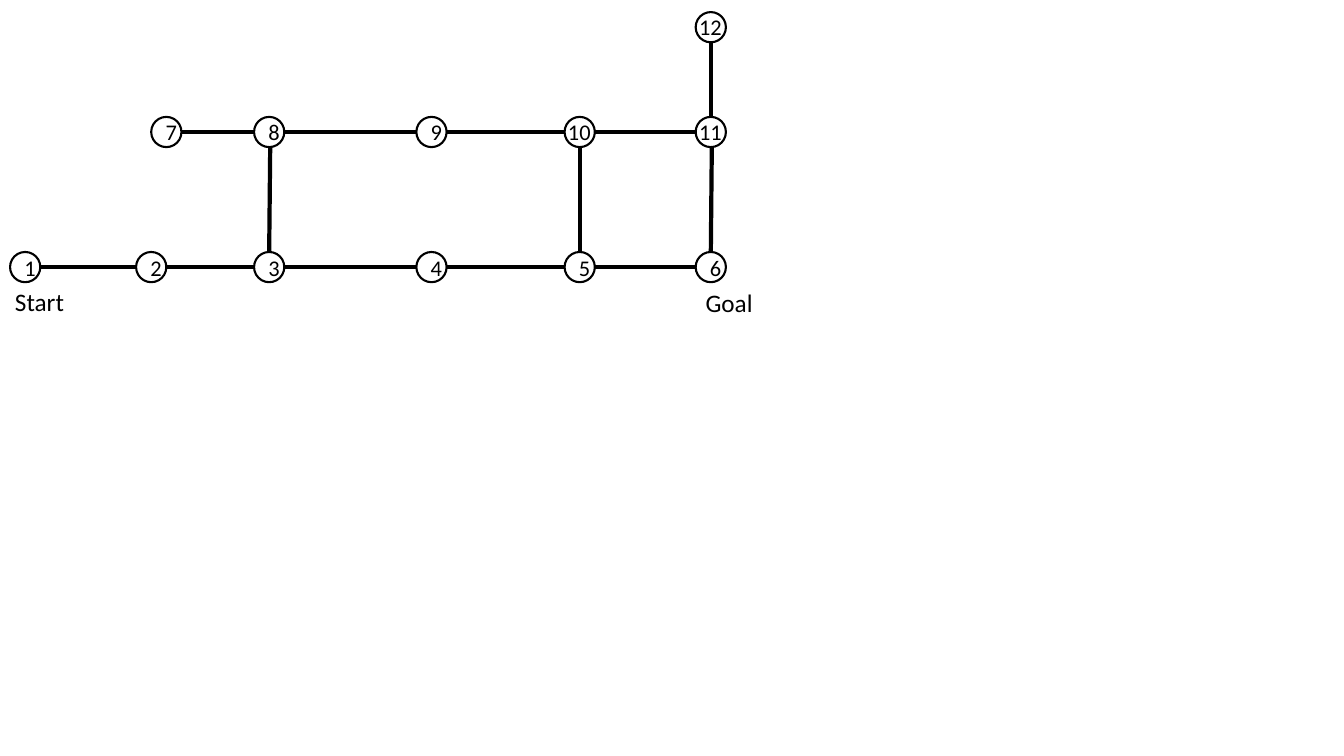
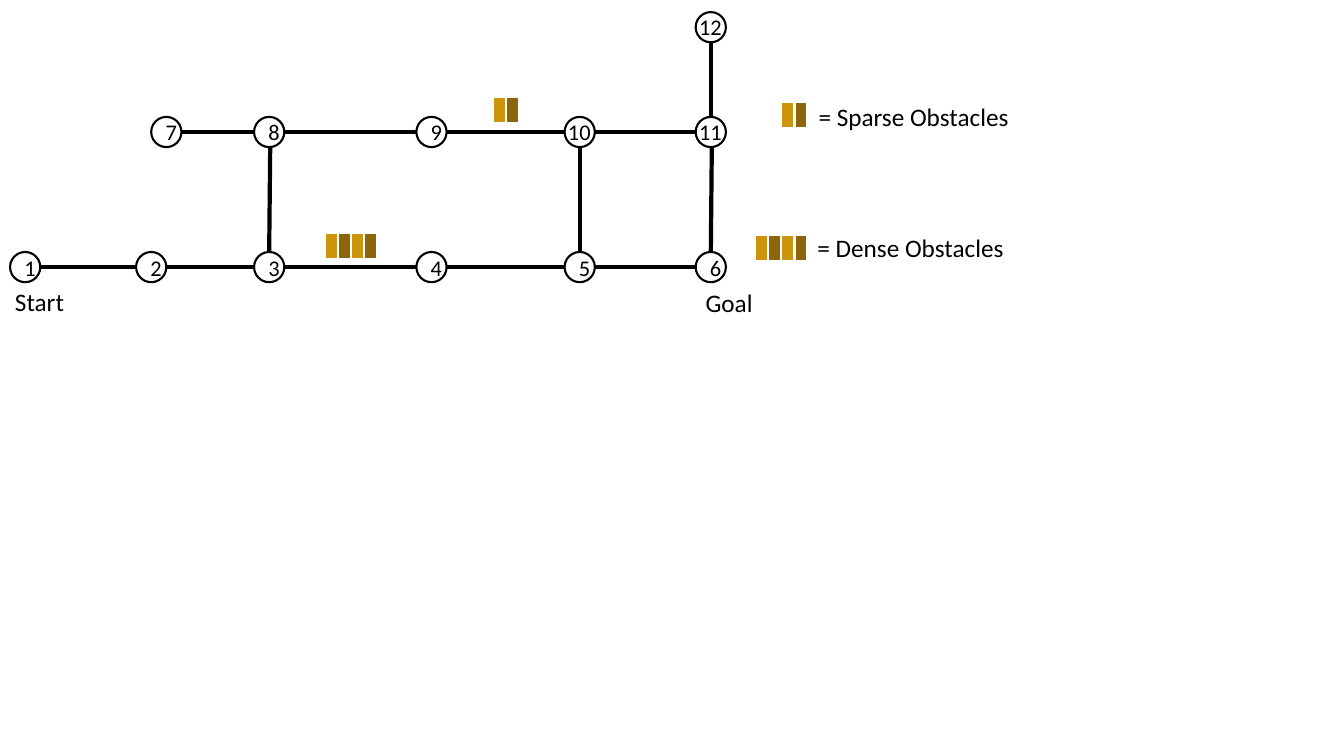
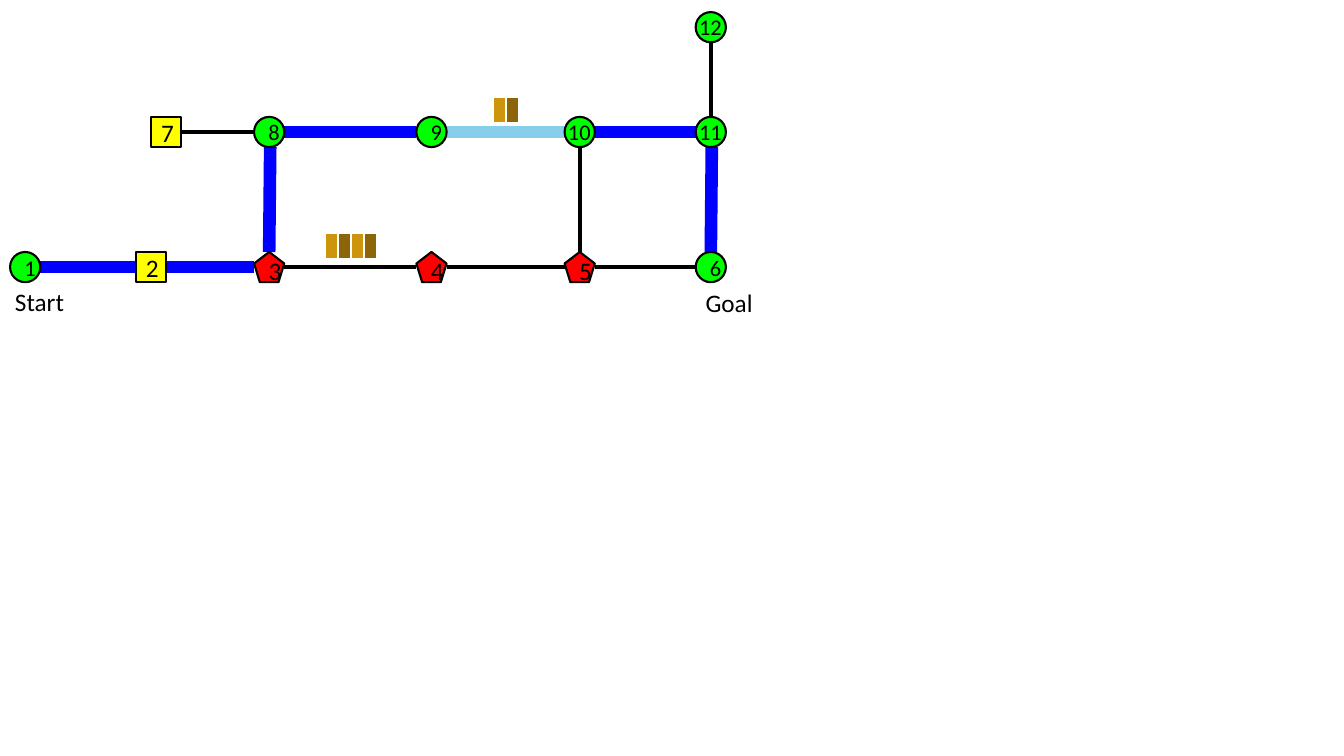
from dataclasses import dataclass, field

from lxml.etree import SubElement
from pptx import Presentation
from pptx.dml.color import RGBColor
from pptx.enum.shapes import MSO_CONNECTOR, MSO_SHAPE
from pptx.enum.text import MSO_ANCHOR, MSO_AUTO_SIZE, PP_ALIGN
from pptx.oxml.ns import qn
from pptx.shapes.autoshape import Shape
from pptx.shapes.shapetree import GroupShapes
from pptx.slide import Slide
from pptx.text.text import TextFrame
from pptx.util import Inches, Pt


@dataclass(frozen=True)
class Theme:
    font: str = "Calibri"
    ink: str = "000000"
    paper: str = "FFFFFF"
    clear: str = "00FF00"
    caution: str = "FFFF00"
    blocked: str = "FF0000"
    route: str = "0000FF"
    slow_route: str = "87CEEB"
    bars: tuple[str, str] = ("CD950C", "8B6508")
    node_size: int = 16
    label_size: int = 18
    outline: float = 1.5
    path_width: float = 3
    route_width: float = 9


THEME = Theme()

# Node centres on a grid, in inches; column 2 serves only node 7.
COLS = (0.25, 1.5, 1.65, 2.67, 4.28, 5.75, 7.05)
ROWS = (0.27, 1.31, 2.65)
RADIUS = 0.15
BAR_W, BAR_H = 0.13, 0.26
LABEL_H = 0.4


@dataclass(frozen=True)
class Node:
    col: int
    row: int

    @property
    def x(self) -> float:
        return COLS[self.col]

    @property
    def y(self) -> float:
        return ROWS[self.row]


@dataclass(frozen=True)
class Edge:
    """A path between two nodes; lean shifts its first end sideways."""
    start: int
    end: int
    lean: float = 0


@dataclass(frozen=True)
class NodeStyle:
    shape: MSO_SHAPE = MSO_SHAPE.OVAL
    fill: str | None = None
    size: int = THEME.node_size


@dataclass(frozen=True)
class EdgeStyle:
    color: str = THEME.ink
    width: float = THEME.path_width


@dataclass(frozen=True)
class Label:
    text: str
    x: float
    y: float
    w: float
    wrap: bool = False


@dataclass(frozen=True)
class Obstacle:
    x: float
    y: float
    count: int


@dataclass(frozen=True)
class MapView:
    """What one slide shows on top of the shared map."""
    default_node: NodeStyle = NodeStyle()
    nodes: dict[int, NodeStyle] = field(default_factory=dict)
    edges: dict[tuple[int, int], EdgeStyle] = field(default_factory=dict)
    obstacles: tuple[Obstacle, ...] = ()
    legend: tuple[tuple[Obstacle, Label], ...] = ()


NODES = {
    1: Node(0, 2), 2: Node(1, 2), 3: Node(3, 2), 4: Node(4, 2),
    5: Node(5, 2), 6: Node(6, 2), 7: Node(2, 1), 8: Node(3, 1),
    9: Node(4, 1), 10: Node(5, 1), 11: Node(6, 1), 12: Node(6, 0),
}
EDGES = (
    Edge(1, 2), Edge(2, 3), Edge(3, 4), Edge(4, 5), Edge(5, 6),
    Edge(7, 8), Edge(8, 9), Edge(9, 10), Edge(10, 11), Edge(12, 11),
    Edge(8, 3, lean=0.01), Edge(10, 5), Edge(11, 6, lean=0.01),
)
END_LABELS = (Label("Start", 0.05, 2.79, 0.69), Label("Goal", 6.9, 2.8, 0.67))
OBSTACLES = (Obstacle(4.89, 0.96, 2), Obstacle(3.22, 2.31, 4))
LEGEND = (
    (Obstacle(7.75, 1.01, 2), Label("= Sparse Obstacles", 8.02, 0.96, 2.11, True)),
    (Obstacle(7.49, 2.33, 4), Label("= Dense Obstacles", 8.01, 2.26, 2.07, True)),
)
CAUTION = NodeStyle(MSO_SHAPE.RECTANGLE, THEME.caution, THEME.label_size)
BLOCKED = NodeStyle(MSO_SHAPE.REGULAR_PENTAGON, THEME.blocked, THEME.label_size)
ROUTE = EdgeStyle(THEME.route, THEME.route_width)
SLOW_ROUTE = EdgeStyle(THEME.slow_route, THEME.route_width)

VIEWS = (
    MapView(),
    MapView(obstacles=OBSTACLES, legend=LEGEND),
    MapView(
        default_node=NodeStyle(fill=THEME.clear),
        nodes={2: CAUTION, 7: CAUTION, 3: BLOCKED, 4: BLOCKED, 5: BLOCKED},
        edges={
            (1, 2): ROUTE, (2, 3): ROUTE, (8, 3): ROUTE, (8, 9): ROUTE,
            (9, 10): SLOW_ROUTE, (10, 11): ROUTE, (11, 6): ROUTE,
        },
        obstacles=OBSTACLES,
    ),
)


def write(tf: TextFrame, text: str, size: int) -> None:
    p = tf.paragraphs[0]
    p.text = text
    font = p.runs[0].font
    font.name, font.size = THEME.font, Pt(size)
    font.color.rgb = RGBColor.from_string(THEME.ink)


def add_label(shapes: GroupShapes, label: Label, size: int, h: float = LABEL_H) -> None:
    tb = shapes.add_textbox(*map(Inches, (label.x, label.y, label.w, h)))
    tf = tb.text_frame
    tf.word_wrap = label.wrap
    tf.auto_size = MSO_AUTO_SIZE.SHAPE_TO_FIT_TEXT
    write(tf, label.text, size)


def add_outlined(shapes: GroupShapes, kind: MSO_SHAPE, box: tuple[float, ...],
                 fill: str | None, line: str) -> Shape:
    sp = shapes.add_shape(kind, *map(Inches, box))
    sp.shadow.inherit = False
    if fill is None:
        sp.fill.background()
    else:
        sp.fill.solid()
        sp.fill.fore_color.rgb = RGBColor.from_string(fill)
    sp.line.color.rgb = RGBColor.from_string(line)
    sp.line.width = Pt(THEME.outline)
    return sp


def add_node(shapes: GroupShapes, number: int, style: NodeStyle) -> None:
    node = NODES[number]
    box = (node.x - RADIUS, node.y - RADIUS, 2 * RADIUS, 2 * RADIUS)
    sp = add_outlined(shapes, style.shape, box, style.fill, THEME.ink)
    if number >= 10:  # two digits need more room than the circle offers
        w, h = 0.43, 0.37
        label = Label(str(number), node.x - w / 2, node.y - h / 2, w)
        add_label(shapes, label, style.size, h)
        return
    tf = sp.text_frame
    tf.vertical_anchor = MSO_ANCHOR.MIDDLE
    write(tf, str(number), style.size)
    tf.paragraphs[0].alignment = PP_ALIGN.CENTER


def add_edge(shapes: GroupShapes, edge: Edge, style: EdgeStyle) -> None:
    """Join the rims of two nodes that share a row or a column."""
    a, b = NODES[edge.start], NODES[edge.end]
    dx, dy = (RADIUS, 0) if a.row == b.row else (0, RADIUS)
    ends = (a.x + dx + edge.lean, a.y + dy, b.x - dx, b.y - dy)
    line = shapes.add_connector(MSO_CONNECTOR.STRAIGHT, *map(Inches, ends))
    line.line.color.rgb = RGBColor.from_string(style.color)
    line.line.width = Pt(style.width)
    SubElement(line._element.spPr, qn("a:effectLst"))


def add_obstacle(shapes: GroupShapes, obstacle: Obstacle) -> None:
    for i in range(obstacle.count):
        box = (obstacle.x + i * BAR_W, obstacle.y, BAR_W, BAR_H)
        fill = THEME.bars[i % len(THEME.bars)]
        add_outlined(shapes, MSO_SHAPE.RECTANGLE, box, fill, THEME.paper)


def draw_map(s: Slide, view: MapView) -> None:
    for obstacle, label in view.legend:
        add_label(s.shapes, label, THEME.label_size)
        add_obstacle(s.shapes.add_group_shape().shapes, obstacle)
    shapes = s.shapes.add_group_shape().shapes
    for edge in EDGES:
        style = view.edges.get((edge.start, edge.end), EdgeStyle())
        add_edge(shapes, edge, style)
    for number in NODES:
        add_node(shapes, number, view.nodes.get(number, view.default_node))
    for label in END_LABELS:
        add_label(shapes, label, THEME.label_size)
    for obstacle in view.obstacles:
        add_obstacle(shapes, obstacle)


def main() -> None:
    prs = Presentation()
    prs.slide_width, prs.slide_height = Inches(13.33), Inches(7.5)
    blank = prs.slide_layouts[6]
    for view in VIEWS:
        draw_map(prs.slides.add_slide(blank), view)
    prs.save("out.pptx")


if __name__ == "__main__":
    main()
